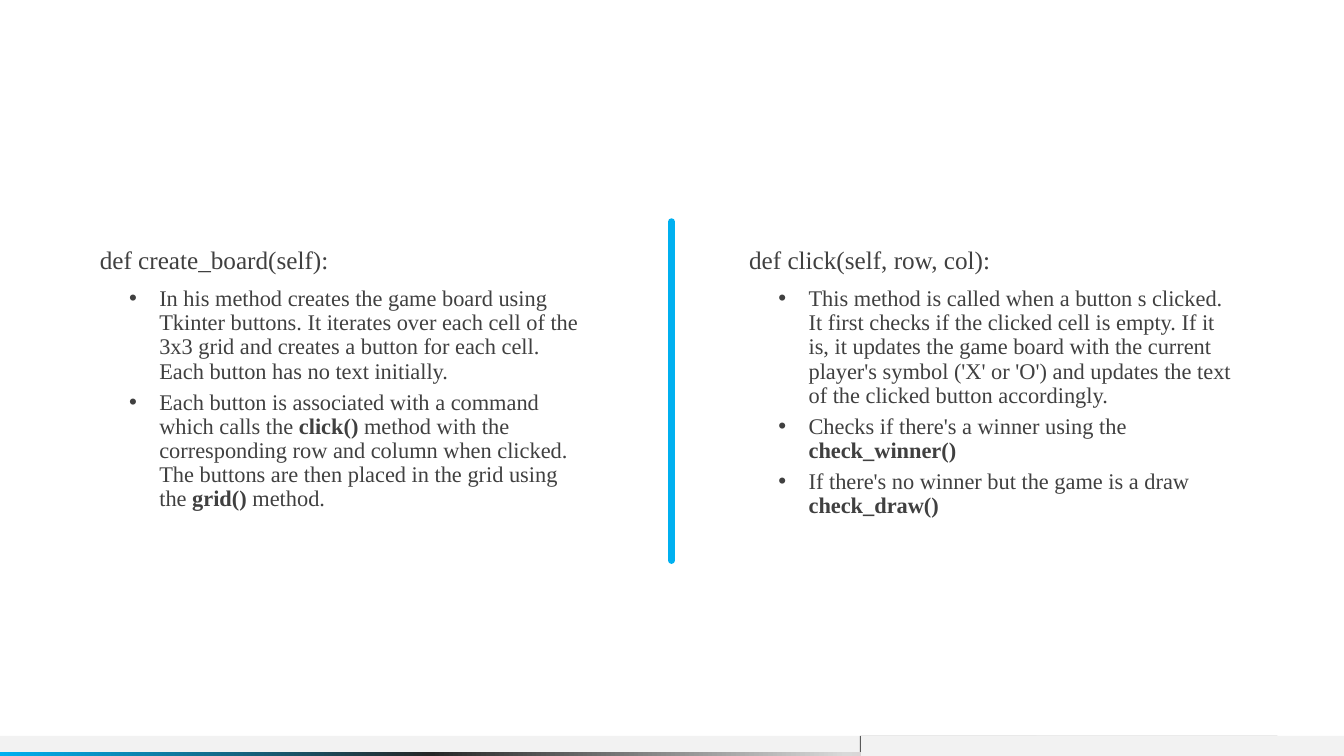
from copy import deepcopy
from dataclasses import dataclass

from pptx import Presentation
from pptx.dml.color import RGBColor
from pptx.enum.shapes import MSO_CONNECTOR as Connector, MSO_SHAPE as Shape
from pptx.enum.text import MSO_ANCHOR as Anchor, MSO_AUTO_SIZE as AutoSize
from pptx.oxml.ns import qn
from pptx.util import Inches, Pt
from lxml.etree import SubElement


@dataclass(frozen=True)
class Theme:
    font: str = "Times New Roman"
    heading_size: int = 18
    bullet_size: int = 16
    text: RGBColor = RGBColor(0x40, 0x40, 0x40)
    accent: RGBColor = RGBColor(0x00, 0xB0, 0xF0)
    dark: RGBColor = RGBColor(0x26, 0x26, 0x26)
    light: RGBColor = RGBColor(0xD9, 0xD9, 0xD9)
    pink: RGBColor = RGBColor(0xF2, 0x19, 0x4A)
    footer: RGBColor = RGBColor(0xF2, 0xF2, 0xF2)
    tick: RGBColor = RGBColor(0x59, 0x59, 0x59)


THEME = Theme()
SLIDE_WIDTH, SLIDE_HEIGHT = 13.33, 7.5
COLUMN_TOP, COLUMN_WIDTH, COLUMN_HEIGHT = 2.46, 4.83, 2.7
HEADING_HEIGHT = 0.39

# Each bullet is a list of (text, bold) runs
COLUMNS = [
    (0.99, "def create_board(self):", [
        [("In his method creates the game board using Tkinter buttons. It iterates over "
          "each cell of the 3x3 grid and creates a button for each cell. Each button has "
          "no text initially.", False)],
        [("Each button is associated with a command which calls the ", False),
         ("click() ", True),
         ("method with the corresponding row and column when clicked. The buttons are "
          "then placed in the grid using the ", False),
         ("grid() ", True),
         ("method.", False)],
    ]),
    (7.43, "def click(self, row, col):", [
        [("This method is called when a button s clicked. It first checks if the clicked "
          "cell is empty. If it is, it updates the game board with the current player's "
          "symbol ('X' or 'O') and updates the text of the clicked button accordingly.",
          False)],
        [("Checks if there's a winner using the ", False), ("check_winner()", True)],
        [("If there's no winner but the game is a draw ", False), ("check_draw()", True)],
    ]),
]


def place_frame(placeholder, left, top, width, height):
    """Move a placeholder and return its text frame without insets."""
    placeholder.left, placeholder.top = Inches(left), Inches(top)
    placeholder.width, placeholder.height = Inches(width), Inches(height)
    frame = placeholder.text_frame
    frame.margin_left = frame.margin_right = frame.margin_top = frame.margin_bottom = 0
    frame.word_wrap = True
    frame.auto_size = AutoSize.NONE
    frame.vertical_anchor = Anchor.TOP
    return frame


def style_paragraph(paragraph, size, space_before=0):
    paragraph.line_spacing = 0.9
    paragraph.space_before = Pt(space_before)
    paragraph.font.name = THEME.font
    paragraph.font.size = Pt(size)
    paragraph.font.color.rgb = THEME.text


def set_bullet(paragraph):
    properties = paragraph._p.get_or_add_pPr()
    properties.set("marL", str(Inches(0.59)))
    properties.set("indent", str(Inches(-0.3)))
    SubElement(properties, qn("a:buFont"), typeface="Arial")
    SubElement(properties, qn("a:buChar"), char="•")


def add_method_column(heading_holder, list_holder, left, top, width, height, heading, bullets):
    # Method signature
    frame = place_frame(heading_holder, left, top, width, HEADING_HEIGHT)
    frame.text = heading
    style_paragraph(frame.paragraphs[0], THEME.heading_size)
    frame.paragraphs[0].runs[0].font.bold = False

    # Explanation
    frame = place_frame(list_holder, left, top + HEADING_HEIGHT, width, height - HEADING_HEIGHT)
    for index, runs in enumerate(bullets):
        paragraph = frame.add_paragraph() if index else frame.paragraphs[0]
        paragraph.level = 1
        set_bullet(paragraph)
        style_paragraph(paragraph, THEME.bullet_size, 5 if index else 0)
        for text, bold in runs:
            run = paragraph.add_run()
            run.text = text
            run.font.bold = bold


def add_divider(slide, x, top, bottom):
    line = slide.shapes.add_connector(
        Connector.STRAIGHT, Inches(x), Inches(top), Inches(x), Inches(bottom))
    line.line.color.rgb = THEME.accent
    line.line.width = Pt(5)
    line.line._get_or_add_ln().set("cap", "rnd")
    SubElement(line._element.spPr, qn("a:effectLst"))


def add_bar(slide, left, top, width, height, color=None):
    bar = slide.shapes.add_shape(
        Shape.RECTANGLE, Inches(left), Inches(top), Inches(width), Inches(height))
    bar.shadow.inherit = False
    bar.line.fill.background()
    if color is not None:
        bar.fill.solid()
        bar.fill.fore_color.rgb = color
    return bar


def add_footer(slide, left, top, width, height):
    strip_height = 0.04
    band_height = height - strip_height
    panel_left = left + 8.54

    # Pale band, with a dark bar whose left edge shows as a tick
    add_bar(slide, left, top, 10.28, band_height, THEME.footer)
    add_bar(slide, panel_left - 0.01, top, 4.14, band_height, THEME.tick)

    # Gradient strip along the bottom edge
    strip = add_bar(slide, left, top + band_height, width, strip_height)
    strip.fill.gradient()
    strip.fill.gradient_angle = 0
    stop_list = strip._element.spPr.find(qn("a:gradFill")).find(qn("a:gsLst"))
    colors = ((0, THEME.accent), (0.32, THEME.dark), (0.63, THEME.light), (1, THEME.pink))
    while len(stop_list) < len(colors):
        stop_list.append(deepcopy(stop_list[0]))
    for stop, (position, color) in zip(strip.fill.gradient_stops, colors):
        stop.position = position
        stop.color.rgb = color

    # Pale panel at the right
    add_bar(slide, panel_left, top, left + width - panel_left, height, THEME.footer)


def build_comparison_slide(presentation):
    slide = presentation.slides.add_slide(presentation.slide_layouts.get_by_name("Comparison"))
    title, *holders = slide.placeholders
    title._element.getparent().remove(title._element)

    add_footer(slide, 0, 7.3, SLIDE_WIDTH, 0.2)
    for (left, heading, bullets), heading_holder, list_holder in zip(
            COLUMNS, holders[::2], holders[1::2]):
        add_method_column(heading_holder, list_holder, left, COLUMN_TOP,
                          COLUMN_WIDTH, COLUMN_HEIGHT, heading, bullets)
    add_divider(slide, 6.66, 2.2, 5.56)


def main():
    presentation = Presentation()
    presentation.slide_width = Inches(SLIDE_WIDTH)
    presentation.slide_height = Inches(SLIDE_HEIGHT)
    build_comparison_slide(presentation)
    presentation.save("out.pptx")


if __name__ == "__main__":
    main()
